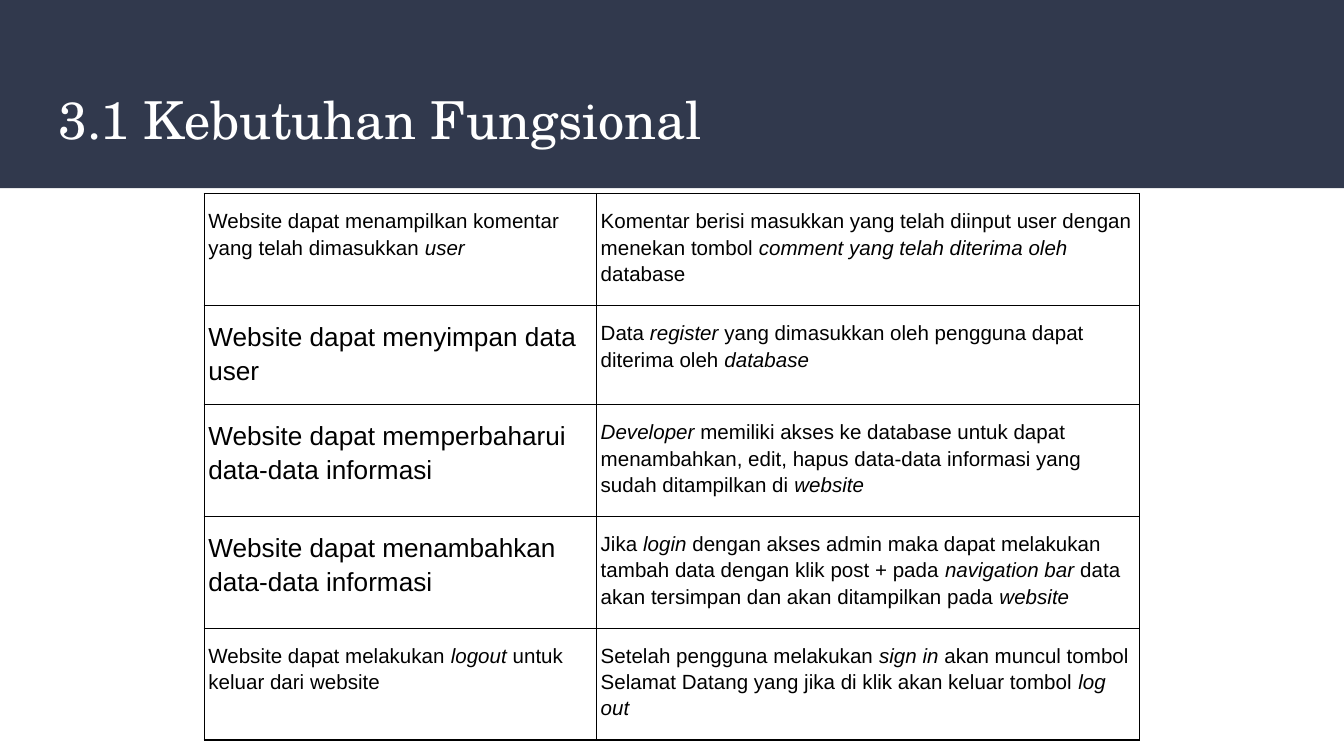
from pptx import Presentation
from pptx.dml.color import RGBColor
from pptx.enum.shapes import MSO_SHAPE as Shape
from pptx.enum.text import MSO_ANCHOR as Anchor
from pptx.oxml import parse_xml
from pptx.oxml.ns import nsdecls
from pptx.util import Inches, Pt

WIDTH = 10
HEIGHT = WIDTH * 9 / 16
NAVY, WHITE, BLACK = "31394D", "FFFFFF", "000000"
COLUMNS = [2.92, 4.04]
ROWS = [0.39, 0.39, 0.57, 0.57, 0.39]
TABLE_SIDE = 3.28

# Left text, its size, right text; asterisks enclose italics
NEEDS = [
    ("Website dapat menampilkan komentar yang telah dimasukkan *user*", 11,
     "Komentar berisi masukkan yang telah diinput user dengan menekan tombol "
     "*comment yang telah diterima oleh *database"),
    ("Website dapat menyimpan data user", 14,
     "Data *register* yang dimasukkan oleh pengguna dapat diterima oleh *database*"),
    ("Website dapat memperbaharui data-data informasi", 14,
     "*Developer* memiliki akses ke database untuk dapat menambahkan, edit, "
     "hapus data-data informasi yang sudah ditampilkan di *website*"),
    ("Website dapat menambahkan data-data informasi", 14,
     "Jika *login* dengan akses admin maka dapat melakukan tambah data dengan "
     "klik post + pada *navigation bar* data akan tersimpan dan akan "
     "ditampilkan pada *website*"),
    ("Website dapat melakukan *logout* untuk keluar dari website", 11,
     "Setelah pengguna melakukan *sign in* akan muncul tombol Selamat Datang "
     "yang jika di klik akan keluar tombol *log out*"),
]


def color(value):
    return RGBColor.from_string(value)


def write(frame, text, size=11, font="Arial", ink=BLACK, spacing=1.0):
    """Write one paragraph, with the parts between asterisks in italics."""
    para = frame.paragraphs[0]
    para.line_spacing = spacing
    for index, part in enumerate(text.split("*")):
        if part:
            span = para.add_run()
            span.text = part
            span.font.size = Pt(size)
            span.font.name = font
            span.font.italic = index % 2 == 1
            span.font.color.rgb = color(ink)


def add_borders(cell, ink=BLACK, width=0.75):
    props = cell._tc.get_or_add_tcPr()
    for index, side in enumerate(("lnL", "lnR", "lnT", "lnB")):
        props.insert(index, parse_xml(
            f'<a:{side} {nsdecls("a")} w="{Pt(width)}"><a:solidFill>'
            f'<a:srgbClr val="{ink}"/></a:solidFill></a:{side}>'))


def add_header(page, left, top, width, height, title):
    # Band
    band = page.shapes.add_shape(
        Shape.RECTANGLE, *map(Inches, (left, top, width, height)))
    band.shadow.inherit = False
    band.fill.solid()
    band.fill.fore_color.rgb = color(NAVY)
    band.line.fill.background()

    # Title
    margin = 0.34
    box = page.shapes.add_textbox(*map(Inches, (
        left + margin, top + 0.39 * height, width - 2 * margin, 0.48 * height)))
    frame = box.text_frame
    frame.word_wrap = True
    frame.vertical_anchor = Anchor.MIDDLE
    frame.margin_left = frame.margin_right = Inches(0.1)
    frame.margin_top = frame.margin_bottom = Inches(0.1)
    write(frame, title, size=28, font="TeX Gyre Schola", ink=WHITE)


def add_needs_table(page, left, top, side, columns, rows, needs):
    holder = page.shapes.add_table(
        len(rows), len(columns), *map(Inches, (left, top, side, side)))
    table = holder.table
    table.first_row = table.horz_banding = False
    for column, width in zip(table.columns, columns):
        column.width = Inches(width)
    for row, height, (need, size, detail) in zip(table.rows, rows, needs):
        row.height = Inches(height)
        for cell, text, points in zip(row.cells, (need, detail), (size, 11)):
            cell.margin_left = cell.margin_right = Inches(0.03)
            cell.margin_top = cell.margin_bottom = Inches(0.1)
            cell.fill.background()
            add_borders(cell)
            write(cell.text_frame, text, size=points, spacing=1.15)
    # Sizing rows and columns resizes the frame, so set it last
    holder.width = holder.height = Inches(side)


def main():
    deck = Presentation()
    deck.slide_width, deck.slide_height = Inches(WIDTH), Inches(HEIGHT)
    page = deck.slides.add_slide(deck.slide_layouts[6])
    page.background.fill.solid()
    page.background.fill.fore_color.rgb = color(WHITE)
    add_header(page, 0, 0, WIDTH, 1.4, "3.1 Kebutuhan Fungsional")
    add_needs_table(page, (WIDTH - sum(COLUMNS)) / 2, 1.44, TABLE_SIDE,
                    COLUMNS, ROWS, NEEDS)
    deck.save("out.pptx")


if __name__ == "__main__":
    main()
